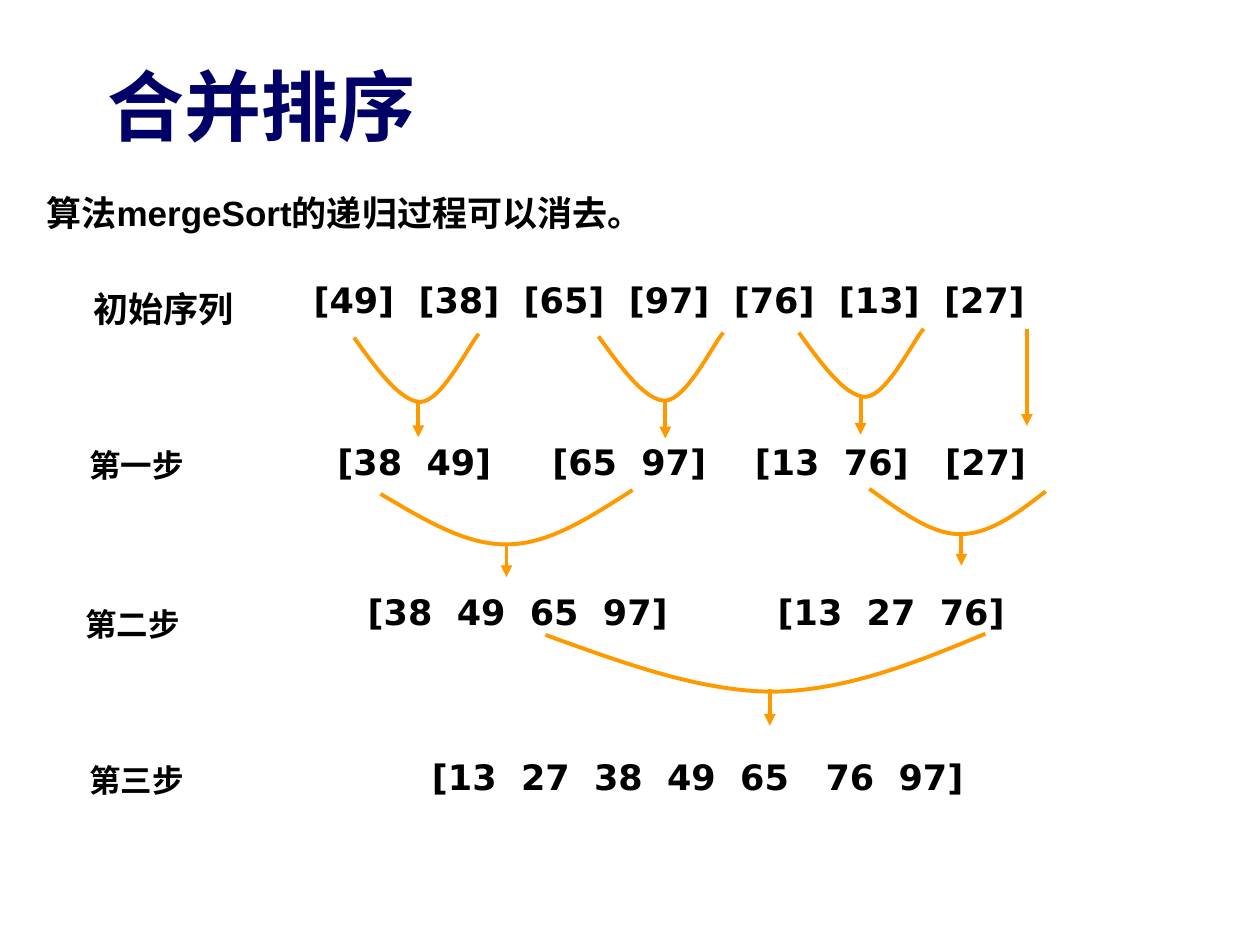
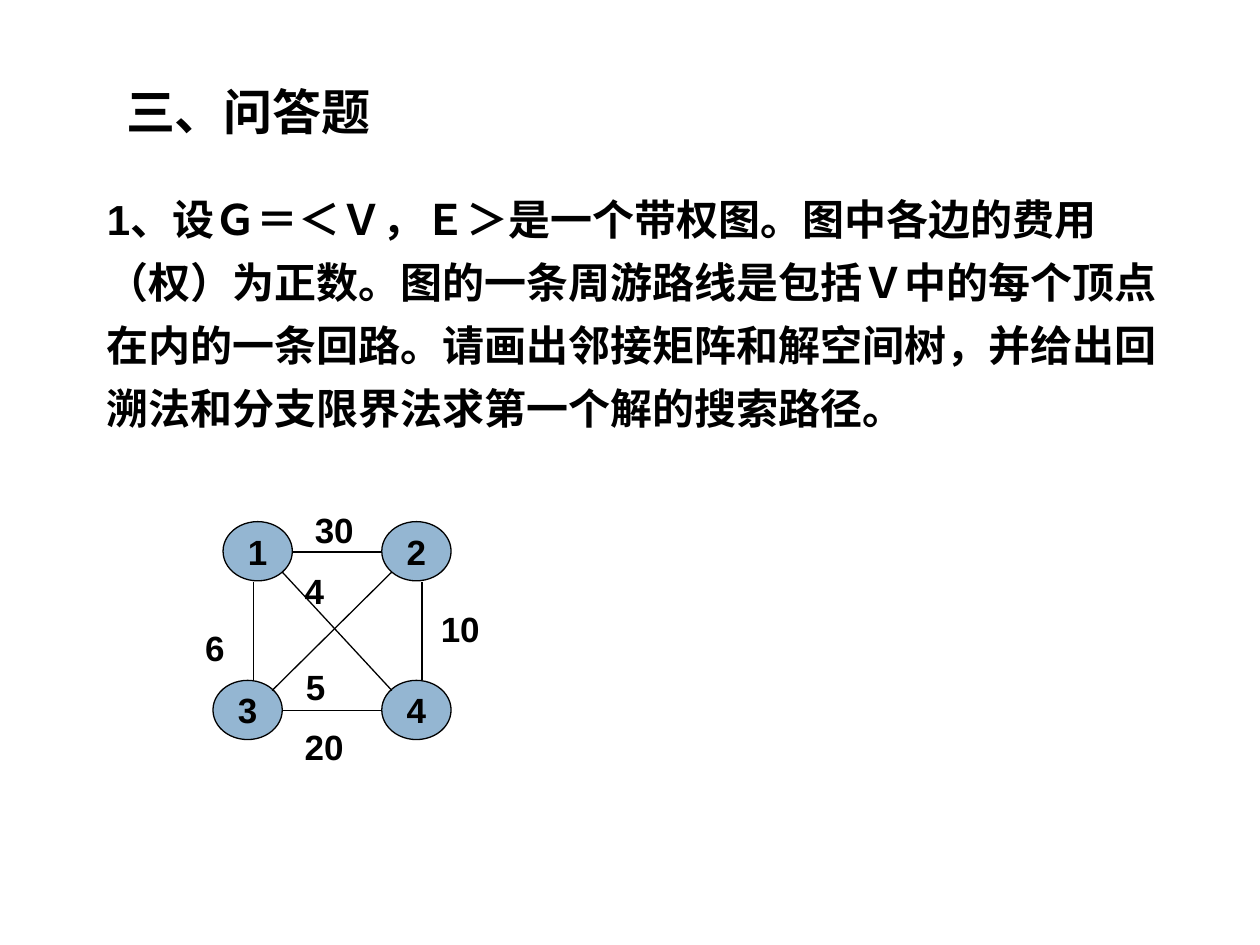
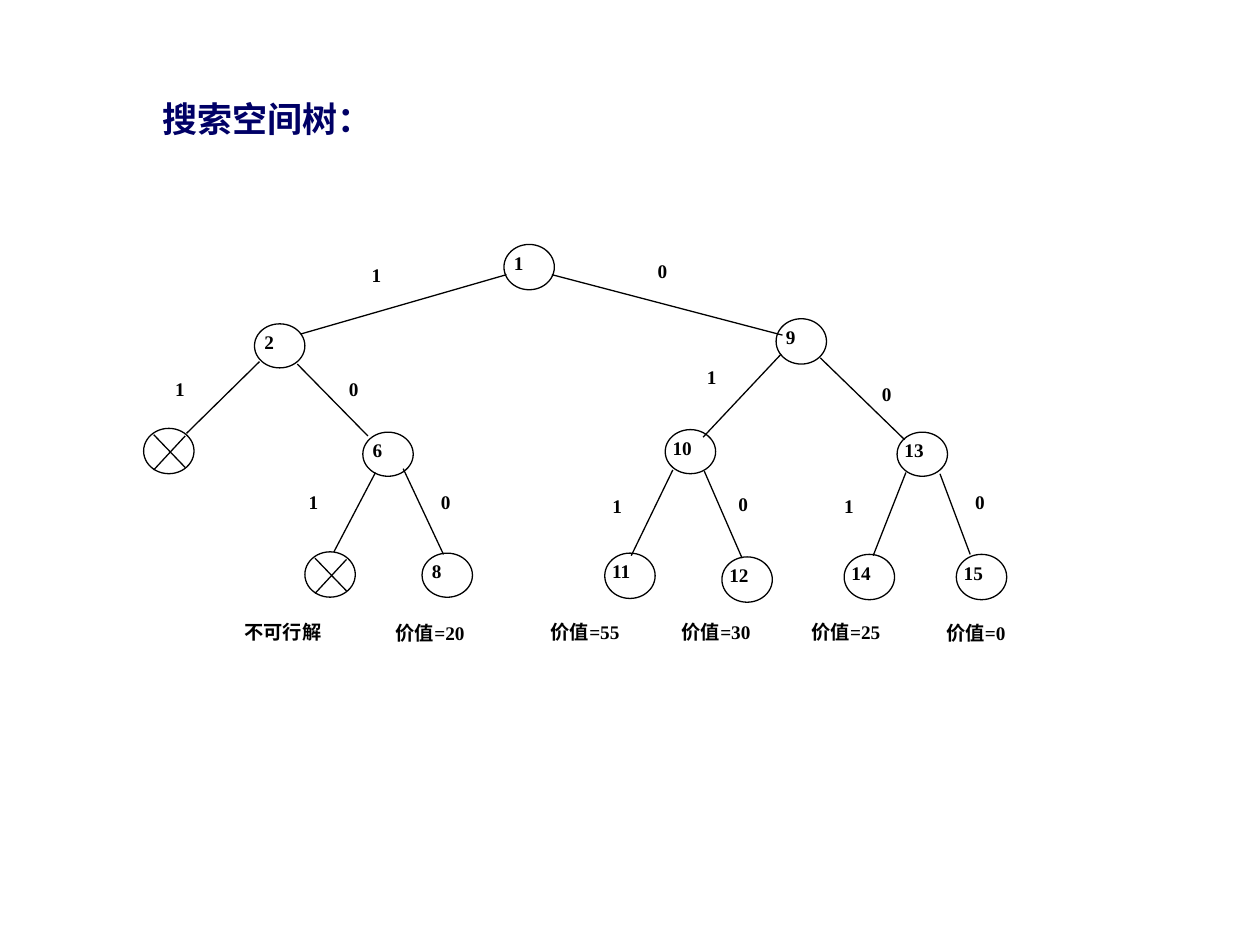
from lxml.etree import SubElement
from pptx import Presentation
from pptx.dml.color import RGBColor
from pptx.enum.shapes import MSO_CONNECTOR, MSO_SHAPE
from pptx.enum.text import MSO_ANCHOR, MSO_AUTO_SIZE, PP_ALIGN
from pptx.oxml.ns import qn
from pptx.util import Inches, Pt

COLORS = {"title": "000066", "ink": "000000", "flow": "FF9900", "node": "94B6D2"}
CJK = "Noto Sans CJK SC"
MONO = "DejaVu Sans"
SERIF = "Times New Roman"
GLYPH_WIDTHS = {"[": 0.127, "]": 0.127}
DIGIT_WIDTH = 0.193
SPACE_WIDTH = 0.097


def color(name):
    return RGBColor.from_string(COLORS[name])


def text_width(word):
    return sum(GLYPH_WIDTHS.get(char, DIGIT_WIDTH) for char in word)


class Board:
    def __init__(self):
        self.deck = Presentation()
        self.deck.slide_width = Inches(10)
        self.deck.slide_height = Inches(7.5)
        self.page = None

    def format(self, frame, text, size, font, ink="ink", inset=None, wrap=True,
               anchor=MSO_ANCHOR.TOP, align=PP_ALIGN.LEFT, spacing=None):
        frame.text = text
        frame.word_wrap = wrap
        frame.auto_size = MSO_AUTO_SIZE.NONE if wrap else MSO_AUTO_SIZE.SHAPE_TO_FIT_TEXT
        frame.vertical_anchor = anchor
        if inset is not None:
            frame.margin_left = Inches(inset)
            frame.margin_right = frame.margin_top = frame.margin_bottom = 0
        para = frame.paragraphs[0]
        para.alignment = align
        if spacing:
            para.line_spacing = spacing
        for span in para.runs:
            span.font.size = Pt(size)
            span.font.bold = True
            span.font.color.rgb = color(ink)
            span.font.name = font
            SubElement(span.font._element, qn("a:ea")).set("typeface", CJK)

    def titled_page(self, text, left, top, width, height, size, font, **style):
        self.page = self.deck.slides.add_slide(self.deck.slide_layouts[5])
        title = self.page.shapes.title
        title.left, title.top = Inches(left), Inches(top)
        title.width, title.height = Inches(width), Inches(height)
        self.format(title.text_frame, text, size, font, **style)

    def text(self, text, left, top, width, height, size, font, **style):
        box = self.page.shapes.add_textbox(
            Inches(left), Inches(top), Inches(width), Inches(height))
        self.format(box.text_frame, text, size, font, **style)
        return box

    def sequence(self, left, top, width, words, gaps):
        box = self.text("\t".join(words), left, top, width, 0.5, 20, MONO)
        props = box.text_frame.paragraphs[0]._p.get_or_add_pPr()
        stops = SubElement(props, qn("a:tabLst"))
        position = 0
        for word, gap in zip(words, gaps):
            position += text_width(word) + gap * SPACE_WIDTH
            stop = SubElement(stops, qn("a:tab"))
            stop.set("pos", str(Inches(position)))
            stop.set("algn", "l")

    def line(self, start, end, ink="ink", weight=0.75, arrow=False):
        link = self.page.shapes.add_connector(
            MSO_CONNECTOR.STRAIGHT, *(Inches(value) for value in start + end))
        link.line.color.rgb = color(ink)
        link.line.width = Pt(weight)
        props = link._element.spPr
        if arrow:
            SubElement(props.find(qn("a:ln")), qn("a:tailEnd")).set("type", "triangle")
        SubElement(props, qn("a:effectLst"))

    def arrow(self, x, top, bottom):
        self.line((x, top), (x, bottom), "flow", 2.25, True)

    def curve(self, points):
        points = [(Inches(x), Inches(y)) for x, y in points]
        builder = self.page.shapes.build_freeform(*points[0], scale=1.0)
        builder.add_line_segments(points[1:], close=False)
        shape = builder.convert_to_shape()
        outline = next(shape._element.iter(qn("a:path")))
        segments = outline.findall(qn("a:lnTo"))
        for index in range(0, len(segments), 3):
            bend = SubElement(outline, qn("a:cubicBezTo"))
            for segment in segments[index:index + 3]:
                bend.append(segment[0])
                outline.remove(segment)
        shape.shadow.inherit = False
        shape.fill.background()
        shape.line.color.rgb = color("flow")
        shape.line.width = Pt(2.25)

    def node(self, text, left, top, width, height, size, font, fill=None, **style):
        shape = self.page.shapes.add_shape(
            MSO_SHAPE.OVAL, Inches(left), Inches(top), Inches(width), Inches(height))
        shape.shadow.inherit = False
        if fill:
            shape.fill.solid()
            shape.fill.fore_color.rgb = color(fill)
        else:
            shape.fill.background()
        shape.line.color.rgb = color("ink")
        shape.line.width = Pt(0.75)
        if text:
            self.format(shape.text_frame, text, size, font, **style)


def merge_sort(board):
    board.titled_page("合并排序", 0.75, 0.21, 8.5, 1.25, 44, CJK,
                      ink="title", anchor=MSO_ANCHOR.MIDDLE)
    board.text("算法mergeSort的递归过程可以消去。", 0.27, 1.47, 9.37, 0.5, 20, "Arial")

    for label, left, top, width, height, size in [
        ("初始序列", 0.64, 2.23, 1.31, 0.43, 20), ("第一步", 0.61, 3.49, 0.95, 0.4, 18),
        ("第二步", 0.58, 4.75, 0.95, 0.4, 18), ("第三步", 0.61, 5.99, 0.95, 0.4, 18),
    ]:
        board.text(label, left, top, width, height, size, MONO, wrap=False)

    for left, top, width, words, gaps in [
        (2.39, 2.16, 6.7, "[49] [38] [65] [97] [76] [13] [27]", [2] * 6),
        (2.58, 3.45, 6.5, "[38 49] [65 97] [13 76] [27]", [2, 5, 2, 4, 2, 3]),
        (2.82, 4.64, 6.01, "[38 49 65 97] [13 27 76]", [2, 2, 2, 9, 2, 2]),
        (3.33, 5.95, 5, "[13 27 38 49 65 76 97]", [2, 2, 2, 2, 3, 2]),
    ]:
        board.sequence(left, top, width, words.split(), gaps)

    pair = [(0, 0.03), (0.18, 0.28), (0.37, 0.54), (0.53, 0.54),
            (0.7, 0.53), (0.91, 0.09), (0.99, 0)]
    for left, top in [(2.81, 2.65), (4.75, 2.64), (6.34, 2.61)]:
        board.curve([(left + x, top + y) for x, y in pair])
    for points in [
        [(3.02, 3.92), (3.36, 4.12), (3.7, 4.33), (4.03, 4.32),
         (4.36, 4.32), (4.69, 4.1), (5.02, 3.89)],
        [(6.9, 3.88), (7.15, 4.06), (7.39, 4.24), (7.62, 4.24),
         (7.86, 4.24), (8.08, 4.07), (8.3, 3.9)],
        [(4.33, 5.04), (4.94, 5.26), (5.56, 5.49), (6.14, 5.49),
         (6.72, 5.48), (7.27, 5.26), (7.82, 5.03)],
    ]:
        board.curve(points)

    for x, top, bottom in [
        (3.32, 3.18, 3.47), (5.28, 3.19, 3.48), (6.83, 3.16, 3.45),
        (8.15, 2.61, 3.38), (4.02, 4.33, 4.58), (7.63, 4.24, 4.49),
        (6.11, 5.47, 5.76),
    ]:
        board.arrow(x, top, bottom)


def weighted_graph(board):
    board.titled_page("三、问答题", 0.9, 0.6, 6.62, 0.57, 28, "Arial")
    board.text(
        "1、设Ｇ＝＜Ｖ，Ｅ＞是一个带权图。图中各边的费用（权）为正数。"
        "图的一条周游路线是包括Ｖ中的每个顶点在内的一条回路。"
        "请画出邻接矩阵和解空间树，并给出回溯法和分支限界法求第一个解的搜索路径。",
        0.75, 1.39, 8.74, 2.1, 24, "Arial", spacing=1.25)

    for name, left, top in [("1", 1.77, 4.14), ("2", 3.03, 4.14),
                            ("3", 1.69, 5.4), ("4", 3.03, 5.4)]:
        board.node(name, left, top, 0.55, 0.47, 20, "Arial", fill="node", inset=0,
                   anchor=MSO_ANCHOR.MIDDLE, align=PP_ALIGN.CENTER)

    for start, end in [
        ((2.32, 4.38), (3.03, 4.38)), ((2.24, 5.64), (3.03, 5.64)),
        ((2.01, 4.62), (2.01, 5.4)), ((3.35, 4.62), (3.35, 5.4)),
        ((3.11, 4.54), (2.16, 5.48)), ((2.24, 4.54), (3.11, 5.48)),
    ]:
        board.line(start, end)

    for weight, left, top, width in [
        ("30", 2.4, 3.99, 0.63), ("6", 1.53, 4.92, 0.32), ("10", 3.4, 4.77, 0.73),
        ("20", 2.32, 5.71, 0.63), ("5", 2.33, 5.23, 0.24), ("4", 2.32, 4.47, 0.24),
    ]:
        board.text(weight, left, top, width, 0.4, 20, "Arial")


def search_tree(board):
    board.titled_page("搜索空间树：", 1.19, 0.72, 1.9, 0.44, 20, SERIF, ink="title")

    for start, end in [
        ((4.02, 2.18), (2.39, 2.65)), ((4.38, 2.18), (6.21, 2.66)),
        ((2.06, 2.87), (1.48, 3.44)), ((2.36, 2.89), (2.92, 3.46)),
        ((6.2, 2.81), (5.58, 3.47)), ((6.51, 2.84), (7.18, 3.49)),
        ((2.98, 3.75), (2.65, 4.38)), ((3.2, 3.72), (3.52, 4.4)),
        ((5.34, 3.73), (5.01, 4.41)), ((5.59, 3.74), (5.89, 4.43)),
        ((7.19, 3.75), (6.93, 4.41)), ((7.46, 3.76), (7.7, 4.4)),
    ]:
        board.line(start, end)

    branches = {
        "1": [(2.95, 2.09), (1.39, 2.99), (5.61, 2.9),
              (2.45, 3.89), (4.86, 3.92), (6.7, 3.92)],
        "0": [(5.22, 2.06), (2.77, 2.99), (7, 3.03),
              (3.5, 3.89), (5.86, 3.91), (7.74, 3.89)],
    }
    for choice, places in branches.items():
        for left, top in places:
            board.text(choice, left, top, 0.27, 0.25, 11, SERIF, inset=0)

    for name, left, top, height in [
        ("1", 4, 1.94, 0.36), ("2", 2.02, 2.57, 0.35), ("9", 6.16, 2.53, 0.36),
        ("6", 2.88, 3.43, 0.35), ("10", 5.28, 3.41, 0.35), ("13", 7.12, 3.43, 0.35),
        ("8", 3.35, 4.39, 0.35), ("11", 4.8, 4.39, 0.36), ("12", 5.73, 4.42, 0.36),
        ("14", 6.7, 4.4, 0.36), ("15", 7.59, 4.4, 0.36),
    ]:
        board.node(name, left, top, 0.4, height, 11, SERIF,
                   inset=0.02 if len(name) == 1 else 0)

    for left, top in [(1.14, 3.4), (2.42, 4.38)]:
        board.node("", left, top, 0.4, 0.36, 11, SERIF)
        near, far = left + 0.08, left + 0.33
        board.line((near, top + 0.05), (far, top + 0.31))
        board.line((far, top + 0.06), (near, top + 0.33))

    for result, left, top, width in [
        ("不可行解", 1.94, 4.92, 1.14), ("价值=20", 3.14, 4.93, 0.99),
        ("价值=55", 4.37, 4.92, 0.99), ("价值=30", 5.41, 4.92, 0.99),
        ("价值=25", 6.44, 4.92, 0.99), ("价值=0", 7.51, 4.93, 0.92),
    ]:
        board.text(result, left, top, width, 0.32, 11, SERIF, inset=0)


board = Board()
merge_sort(board)
weighted_graph(board)
search_tree(board)
board.deck.save("out.pptx")
